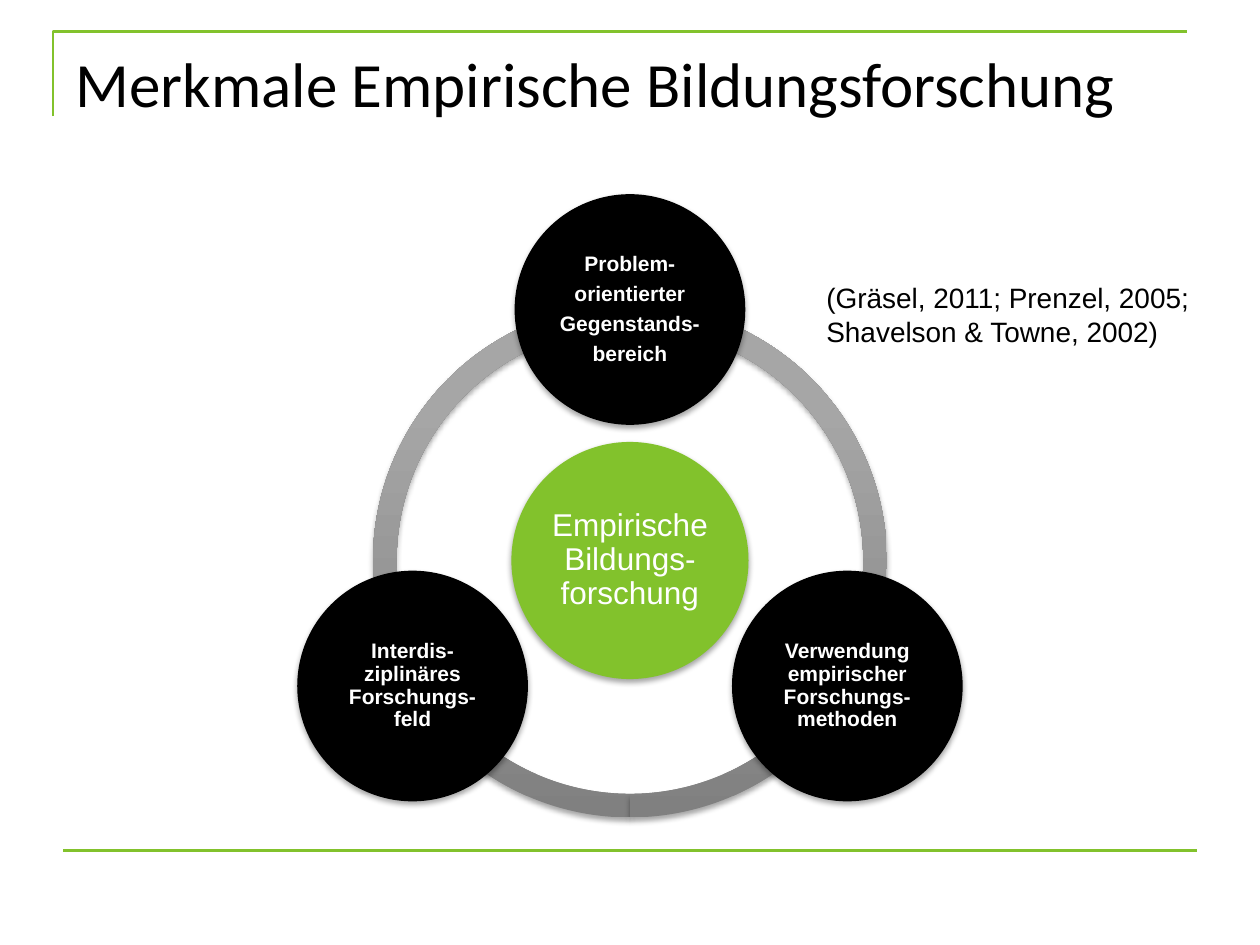
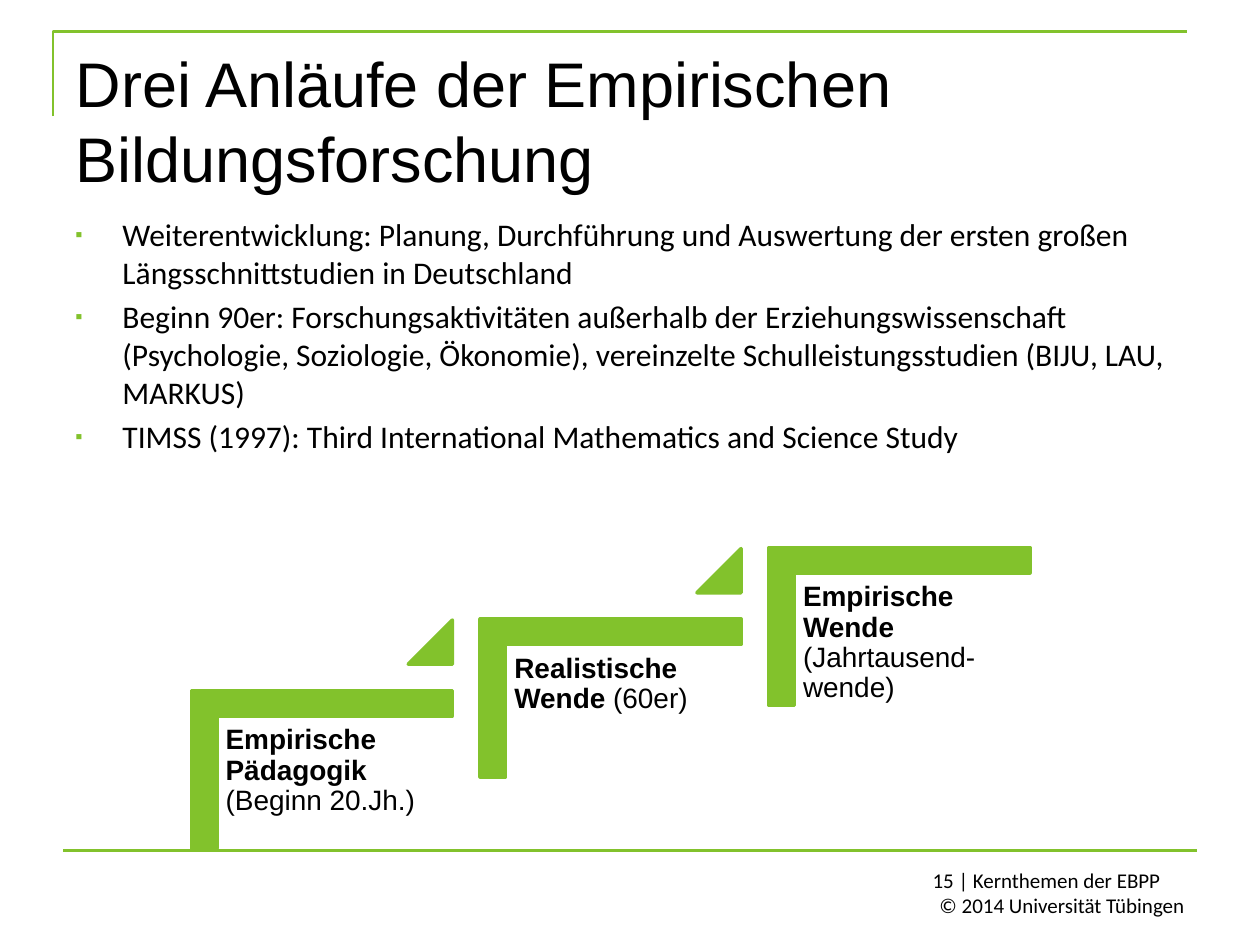
"""Build two slides on empirical educational research."""
from math import cos, radians, sin

from lxml.etree import SubElement as Sub
from pptx import Presentation
from pptx.dml.color import RGBColor as Rgb
from pptx.enum.shapes import MSO_CONNECTOR as Link, MSO_SHAPE as Form
from pptx.enum.text import MSO_ANCHOR as Anchor, MSO_AUTO_SIZE as Fit, PP_ALIGN as Align
from pptx.oxml.ns import qn
from pptx.util import Cm, Pt

HUES = {"green": "82C22C", "black": "000000", "white": "FFFFFF",
        "dark": "808080", "light": "A6A6A6"}


def hue(name):
    return Rgb.from_string(HUES[name])


class Deck:
    """Holds the shared style and the current slide."""

    def __init__(self):
        self.show = Presentation()
        self.show.slide_width, self.show.slide_height = Cm(25.4), Cm(19.05)
        self.slide = None

    def page(self, title, font):
        self.slide = self.show.slides.add_slide(self.show.slide_layouts[5])
        self.frame()
        head = self.slide.shapes.title
        head.left, head.top, head.width, head.height = Cm(1.27), Cm(0.76), Cm(22.86), Cm(3.18)
        self.label(head.text_frame, [title], 36, font=font)

    def frame(self):
        pen = self.slide.shapes.build_freeform(Cm(1.07), Cm(2.34))
        pen.add_line_segments([(Cm(1.07), Cm(0.64)), (Cm(23.93), Cm(0.64))], close=False)
        edge = pen.convert_to_shape()
        edge.fill.background()
        edge.shadow.inherit = False
        rule = self.slide.shapes.add_connector(Link.STRAIGHT, Cm(1.27), Cm(17.15), Cm(24.13), Cm(17.15))
        for item in (edge, rule):
            item.line.color.rgb = hue("green")
            item.line.width = Pt(1.5)
        Sub(rule._element.spPr, qn("a:effectLst"))

    def label(self, frame, lines, size, color="black", font="Arial", align=Align.LEFT,
              anchor=Anchor.TOP, bold=False, tight=False, inset=None):
        frame.word_wrap = True
        frame.auto_size = Fit.NONE
        frame.vertical_anchor = anchor
        if inset is not None:
            frame.margin_left = frame.margin_right = Cm(inset)
            frame.margin_top = frame.margin_bottom = Cm(inset)
        frame.text = "\n".join(lines)
        for para in frame.paragraphs:
            para.alignment = align
            if tight:
                para.line_spacing = 0.9
                para.space_after = Pt(size * 0.35)
            for run in para.runs:
                self.style(run, size, color, font, bold)

    def style(self, run, size, color="black", font="Arial", bold=False):
        run.font.size, run.font.name, run.font.bold = Pt(size), font, bold
        run.font.color.rgb = hue(color)

    def text(self, box, lines, size, **look):
        item = self.slide.shapes.add_textbox(*map(Cm, box))
        self.label(item.text_frame, lines, size, **look)
        return item

    def points(self, box, lines):
        item = self.text(box, lines, 18, font="Calibri")
        for para in item.text_frame.paragraphs:
            para.space_before = Pt(3.6)
            props = para._p.get_or_add_pPr()
            props.set("marL", str(Cm(0.95)))
            props.set("indent", str(Cm(-0.95)))
            Sub(Sub(props, qn("a:buClr")), qn("a:srgbClr"), val=HUES["green"])
            Sub(props, qn("a:buSzPct"), val="65000")
            Sub(props, qn("a:buFont"), typeface="Arial")
            Sub(props, qn("a:buChar"), char="▪")

    def shape(self, form, box, color="green", edge=0, adjust=()):
        item = self.slide.shapes.add_shape(form, *map(Cm, box))
        item.shadow.inherit = False
        for spot, value in enumerate(adjust):
            item.adjustments[spot] = value
        item.fill.solid()
        item.fill.fore_color.rgb = hue(color)
        if edge:
            item.line.color.rgb = hue(color)
            item.line.width = Pt(edge)
        else:
            item.line.fill.background()
        return item

    def shade(self, item):
        glow = Sub(item._element.spPr.find(qn("a:effectLst")), qn("a:outerShdw"),
                   blurRad="40000", dist="23000", dir="5400000", rotWithShape="0")
        tone = Sub(glow, qn("a:srgbClr"), val=HUES["black"])
        Sub(tone, qn("a:alpha"), val="35000")

    def arc(self, mid, size, start, end):
        box = (mid[0] - size / 2, mid[1] - size / 2, size, size)
        item = self.shape(Form.BLOCK_ARC, box, adjust=(start * 0.6, end * 0.6, 0.046))
        item.fill.gradient()
        item.fill.gradient_angle = 90
        for stop, name, place in zip(item.fill.gradient_stops, ("dark", "light"), (0, 0.8)):
            stop.color.rgb = hue(name)
            stop.position = place
        self.shade(item)

    def disc(self, mid, size, color, lines, height, bold):
        box = (mid[0] - size / 2, mid[1] - size / 2, size, size)
        item = self.shape(Form.OVAL, box, color)
        self.shade(item)
        self.label(item.text_frame, lines, height, "white", align=Align.CENTER,
                   anchor=Anchor.MIDDLE, bold=bold, tight=True, inset=0.05)

    def step(self, left, top, name, date):
        stair = self.shape(Form.CORNER, (left, top, 3.18, 5.26), edge=2, adjust=(0.161, 0.161))
        stair.rotation = 90
        note = self.text((left - 0.53, top + 1.57, 4.75, 4.17), [name + " "], 16,
                         bold=True, tight=True, inset=0.18)
        run = note.text_frame.paragraphs[0].add_run()
        run.text = date
        self.style(run, 16)


def traits(deck):
    deck.page("Merkmale Empirische Bildungsforschung", "Calibri")
    mid, orbit = (12.7, 11.3), 5.06
    for start, end in ((90, 162), (18, 90), (162, 18)):
        deck.arc(mid, 10.36, start, end)
    deck.disc(mid, 4.78, "green", ["Empirische Bildungs-forschung"], 18, False)
    topics = (["Problem-", "orientierter", "Gegenstands-", "bereich"],
              ["Verwendung empirischer Forschungs-methoden"],
              ["Interdis-ziplinäres Forschungs-feld"])
    for spot, lines in enumerate(topics):
        turn = radians(120 * spot - 90)
        place = (mid[0] + orbit * cos(turn), mid[1] + orbit * sin(turn))
        deck.disc(place, 4.65, "black", lines, 12, True)
    cite = deck.text((16.41, 5.54, 8.99, 1.63),
                     ["(Gräsel, 2011; Prenzel, 2005; Shavelson & Towne, 2002)"], 16)
    cite.fill.solid()
    cite.fill.fore_color.rgb = hue("white")


def phases(deck):
    deck.page("Drei Anläufe der Empirischen Bildungsforschung", "Arial")
    deck.points((1.27, 4.22, 22.86, 12.57), [
        "Weiterentwicklung: Planung, Durchführung und Auswertung der ersten großen "
        "Längsschnittstudien in Deutschland",
        "Beginn 90er: Forschungsaktivitäten außerhalb der Erziehungswissenschaft "
        "(Psychologie, Soziologie, Ökonomie), vereinzelte Schulleistungsstudien "
        "(BIJU, LAU, MARKUS)",
        "TIMSS (1997): Third International Mathematics and Science Study"])
    deck.text((18.21, 17.35, 5.92, 1.27), ["15 | Kernthemen der EBPP\t© 2014 Universität Tübingen"],
              12, font="Calibri", align=Align.RIGHT, anchor=Anchor.BOTTOM)
    steps = (("Empirische Pädagogik", "(Beginn 20.Jh.)"),
             ("Realistische Wende", "(60er)"),
             ("Empirische Wende", "(Jahrtausend-wende)"))
    for spot, (name, date) in enumerate(steps):
        left, top = 4.9 + 5.82 * spot, 12.88 - 1.44 * spot
        deck.step(left, top, name, date)
        if spot < len(steps) - 1:
            deck.shape(Form.ISOSCELES_TRIANGLE, (left + 3.33, top - 0.38, 0.89, 0.89),
                       edge=2, adjust=(1,))


def main():
    deck = Deck()
    traits(deck)
    phases(deck)
    deck.show.save("out.pptx")


if __name__ == "__main__":
    main()
